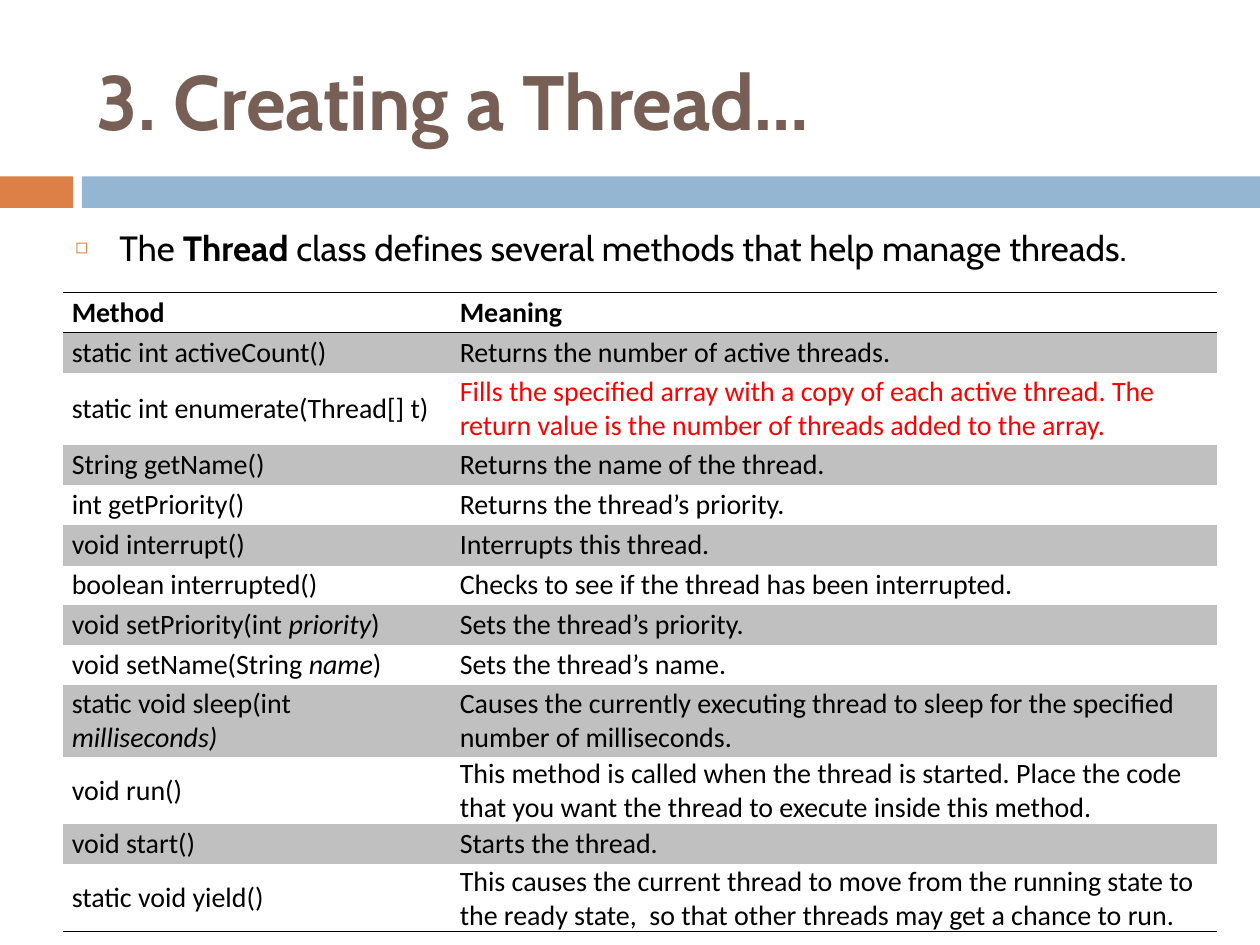
from lxml import etree
from pptx import Presentation
from pptx.dml.color import RGBColor
from pptx.enum import shapes, text
from pptx.oxml import ns
from pptx.util import Inches, Pt

ORANGE = RGBColor(0xDD, 0x80, 0x47)
BLUE = RGBColor(0x94, 0xB6, 0xD2)
BROWN = RGBColor(0x77, 0x5F, 0x55)
GREY = RGBColor(0xC0, 0xC0, 0xC0)
RED = RGBColor(0xFF, 0, 0)
BLACK = RGBColor(0, 0, 0)

# Row height, method (the part between asterisks is italic), meaning
METHODS = [
    (0.32, "Method", "Meaning"),
    (0.32, "static int activeCount()", "Returns the number of active threads."),
    (0.57, "static int enumerate(Thread[] t)",
     "Fills the specified array with a copy of each active thread. "
     "The return value is the number of threads added to the array."),
    (0.32, "String getName()", "Returns the name of the thread."),
    (0.32, "int getPriority()", "Returns the thread’s priority."),
    (0.32, "void interrupt()", "Interrupts this thread."),
    (0.31, "boolean interrupted()",
     "Checks to see if the thread has been interrupted."),
    (0.32, "void setPriority(int *priority*)", "Sets the thread’s priority."),
    (0.32, "void setName(String *name*)", "Sets the thread’s name."),
    (0.57, "static void sleep(int *milliseconds)*",
     "Causes the currently executing thread to sleep for the specified "
     "number of milliseconds."),
    (0.53, "void run()",
     "This method is called when the thread is started. Place the code "
     "that you want the thread to execute inside this method."),
    (0.32, "void start()", "Starts the thread."),
    (0.53, "static void yield()",
     "This causes the current thread to move from the running state to "
     "the ready state,  so that other threads may get a chance to run."),
]
COLUMN_WIDTHS = (3.08, 6.08)
HIGHLIGHTED_ROW = 2


def set_all(target, values):
    for name, value in values.items():
        setattr(target, name, value)


def add_run(paragraph, words, font, size, color, **styles):
    run = paragraph.add_run()
    run.text = words
    set_all(run.font, {"name": font, "size": Pt(size), **styles})
    run.font.color.rgb = color


def add_band(slide, left, width, color):
    band = slide.shapes.add_shape(shapes.MSO_SHAPE.RECTANGLE, Inches(left),
                                  Inches(1.4), Inches(width), Inches(0.25))
    band.shadow.inherit = False
    band.fill.solid()
    band.fill.fore_color.rgb = color
    band.line.fill.background()


def add_text(slide, left, top, width, height, anchor):
    frame = slide.shapes.add_textbox(Inches(left), Inches(top), Inches(width),
                                     Inches(height)).text_frame
    set_all(frame, {"word_wrap": True, "vertical_anchor": anchor})
    return frame.paragraphs[0]


def add_bullet(paragraph, character, color, percent, indent):
    properties = paragraph._p.get_or_add_pPr()
    properties.set("marL", str(Inches(indent)))
    properties.set("indent", str(-Inches(indent)))
    bullet_color = etree.SubElement(properties, ns.qn("a:buClr"))
    etree.SubElement(bullet_color, ns.qn("a:srgbClr"), val=str(color))
    etree.SubElement(properties, ns.qn("a:buSzPct"), val=str(percent * 1000))
    etree.SubElement(properties, ns.qn("a:buFont"), typeface="Arial")
    etree.SubElement(properties, ns.qn("a:buChar"), char=character)


def set_borders(cell, ruled_sides):
    properties = cell._tc.get_or_add_tcPr()
    for side in "LRTB":
        border = etree.SubElement(properties, ns.qn("a:ln" + side),
                                  w=str(Pt(1)))
        if side in ruled_sides:
            fill = etree.SubElement(border, ns.qn("a:solidFill"))
            etree.SubElement(fill, ns.qn("a:srgbClr"), val=str(BLACK))
        else:
            etree.SubElement(border, ns.qn("a:noFill"))


def fill_cell(cell, words, color, bold, shaded, ruled_sides):
    set_all(cell, {"vertical_anchor": text.MSO_ANCHOR.MIDDLE,
                   "margin_left": Inches(0.07), "margin_right": Inches(0.07),
                   "margin_top": 0, "margin_bottom": 0})
    paragraph = cell.text_frame.paragraphs[0]
    for index, part in enumerate(words.split("*")):
        if part:
            add_run(paragraph, part, "Calibri", 16, color,
                    bold=bold, italic=index % 2 == 1)
    # Borders come before the fill in the cell properties
    set_borders(cell, ruled_sides)
    if shaded:
        cell.fill.solid()
        cell.fill.fore_color.rgb = GREY
    else:
        cell.fill.background()


def add_method_table(slide):
    methods = slide.shapes.add_table(
        len(METHODS), len(COLUMN_WIDTHS), Inches(0.5), Inches(2.32),
        Inches(sum(COLUMN_WIDTHS)), Inches(sum(row[0] for row in METHODS))).table
    set_all(methods, {"first_row": False, "horz_banding": False})
    for column, width in zip(methods.columns, COLUMN_WIDTHS):
        column.width = Inches(width)
    ruled = {0: "TB", 1: "T", len(METHODS) - 1: "B"}
    for row, (height, *entries) in enumerate(METHODS):
        methods.rows[row].height = Inches(height)
        for column, words in enumerate(entries):
            highlighted = row == HIGHLIGHTED_ROW and column == 1
            fill_cell(methods.cell(row, column), words,
                      RED if highlighted else BLACK, bold=row == 0,
                      shaded=row % 2 == 1, ruled_sides=ruled.get(row, ""))


def main():
    deck = Presentation()
    set_all(deck, {"slide_width": Inches(10), "slide_height": Inches(7.5)})
    slide = deck.slides.add_slide(deck.slide_layouts[6])

    # Bands under the title
    add_band(slide, 0, 0.58, ORANGE)
    add_band(slide, 0.65, 9.35, BLUE)

    # Title
    title = add_text(slide, 0.67, 0.25, 8.92, 1.08, text.MSO_ANCHOR.MIDDLE)
    add_run(title, "3. Creating a Thread…", "Cabin", 44, BROWN, bold=True)

    # Introduction
    intro = add_text(slide, 0.5, 1.75, 9, 5.75, text.MSO_ANCHOR.TOP)
    intro.space_before = Pt(7)
    add_bullet(intro, "◻", ORANGE, 60, 0.35)
    for words, bold in (
            ("The ", False), ("Thread ", True),
            ("class defines several methods that help manage threads.", False)):
        add_run(intro, words, "Cabin", 20, BLACK, bold=bold)

    # Thread methods
    add_method_table(slide)
    deck.save("out.pptx")


main()
